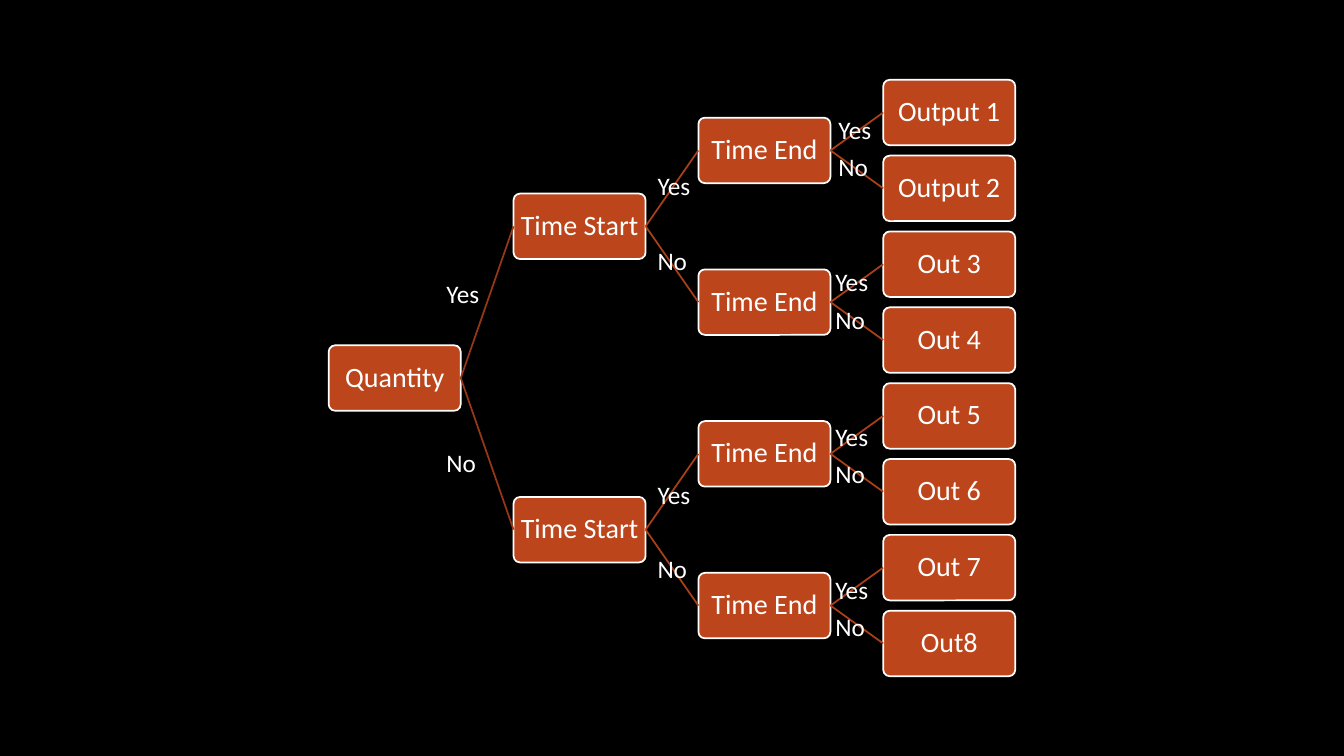
from dataclasses import dataclass
from lxml.etree import SubElement
from pptx import Presentation
from pptx.dml.color import RGBColor as RGB
from pptx.enum.shapes import MSO_CONNECTOR as LINE, MSO_SHAPE as SHAPE
from pptx.enum.text import MSO_ANCHOR as ANCHOR, MSO_AUTO_SIZE as AUTO, PP_ALIGN as ALIGN
from pptx.oxml.ns import qn
from pptx.util import Inches, Pt


@dataclass(frozen=True)
class Theme:
    """Colours, font and type sizes of the slide."""
    back: RGB = RGB(0, 0, 0)
    node: RGB = RGB(0xBC, 0x45, 0x1B)
    text: RGB = RGB(0xFF, 0xFF, 0xFF)
    root: RGB = RGB(0x97, 0x37, 0x16)
    limb: RGB = RGB(0xAB, 0x3F, 0x19)
    font: str = "Calibri"
    big: Pt = Pt(20)
    small: Pt = Pt(18)
    line: Pt = Pt(1.25)


@dataclass(frozen=True)
class Box:
    """A region of the slide in inches."""
    left: float
    top: float
    width: float
    height: float

    def emu(self):
        """Return the four lengths for python-pptx."""
        return [Inches(n) for n in (self.left, self.top, self.width, self.height)]


THEME = Theme()
NODE_W, NODE_H = 1.31, 0.65
LEVELS = [
    ["Quantity"],
    ["Time Start"] * 2,
    ["Time End"] * 4,
    ["Output 1", "Output 2", "Out 3", "Out 4", "Out 5", "Out 6", "Out 7", "Out8"],
]
TAG_STEPS = [1.68, 0.74, 0.37]
TAG_SHIFTS = [
    [(1.07, -1.04)],
    [(1.33, -0.6), (1.33, -0.55)],
    [(1.29, -0.41), (1.26, -0.4), (1.26, -0.37), (1.26, -0.36)],
]


def write(shape, text, size):
    """Put one styled paragraph in a shape and return it."""
    para = shape.text_frame.paragraphs[0]
    para.text = text
    para.font.name = THEME.font
    para.font.size = size
    para.font.color.rgb = THEME.text
    return para


def add_node(slide, box, text):
    """Draw one rounded node of the tree."""
    node = slide.shapes.add_shape(SHAPE.ROUNDED_RECTANGLE, *box.emu())
    node.adjustments[0] = 0.1
    node.shadow.inherit = False
    node.fill.solid()
    node.fill.fore_color.rgb = THEME.node
    node.line.color.rgb = THEME.text
    node.line.width = THEME.line
    frame = node.text_frame
    frame.word_wrap = True
    frame.vertical_anchor = ANCHOR.MIDDLE
    frame.margin_left = frame.margin_right = Inches(0.03)
    frame.margin_top = frame.margin_bottom = Inches(0.03)
    para = write(node, text, THEME.big)
    para.alignment = ALIGN.CENTER
    para.line_spacing = 0.9
    return node


def add_limb(slide, start, end, color):
    """Join the right side of one node to the left side of the next."""
    limb = slide.shapes.add_connector(LINE.STRAIGHT, 0, 0, 0, 0)
    limb.begin_connect(start, 3)
    limb.end_connect(end, 1)
    limb.line.color.rgb = color
    limb.line.width = THEME.line
    SubElement(limb._element.spPr, qn("a:effectLst"))


def add_tag(slide, box, text):
    """Write the answer beside a branch."""
    tag = slide.shapes.add_textbox(*box.emu())
    tag.text_frame.word_wrap = True
    tag.text_frame.auto_size = AUTO.SHAPE_TO_FIT_TEXT
    write(tag, text, THEME.small)


def node_box(box, level, row):
    """Return the place of a node within the tree."""
    pitch = (box.width - NODE_W) / (len(LEVELS) - 1)
    mid = box.top + box.height * (row + 0.5) / len(LEVELS[level])
    return Box(box.left + level * pitch, mid - NODE_H / 2, NODE_W, NODE_H)


def add_tree(slide, box):
    """Draw the nodes and the branches between them."""
    above = []
    for level, names in enumerate(LEVELS):
        nodes = [add_node(slide, node_box(box, level, row), name)
                 for row, name in enumerate(names)]
        color = THEME.root if level == 1 else THEME.limb
        if above:
            for row, node in enumerate(nodes):
                add_limb(slide, above[row // 2], node, color)
        above = nodes


def add_tags(slide, box):
    """Write Yes and No beside each pair of branches."""
    for level, (step, shifts) in enumerate(zip(TAG_STEPS, TAG_SHIFTS)):
        for row, (right, down) in enumerate(shifts):
            node = node_box(box, level, row)
            top = node.top + NODE_H / 2 + down
            for turn, word in enumerate(("Yes", "No")):
                place = Box(node.left + right, top + turn * step, 1.16, 0.4)
                add_tag(slide, place, word)


def main():
    """Build and save the slide."""
    deck = Presentation()
    deck.slide_width, deck.slide_height = Inches(13.33), Inches(7.5)
    slide = deck.slides.add_slide(deck.slide_layouts[6])
    slide.background.fill.solid()
    slide.background.fill.fore_color.rgb = THEME.back
    box = Box(3.26, 0.74, 6.81, 6.02)
    add_tree(slide, box)
    add_tags(slide, box)
    deck.save("out.pptx")


if __name__ == "__main__":
    main()
